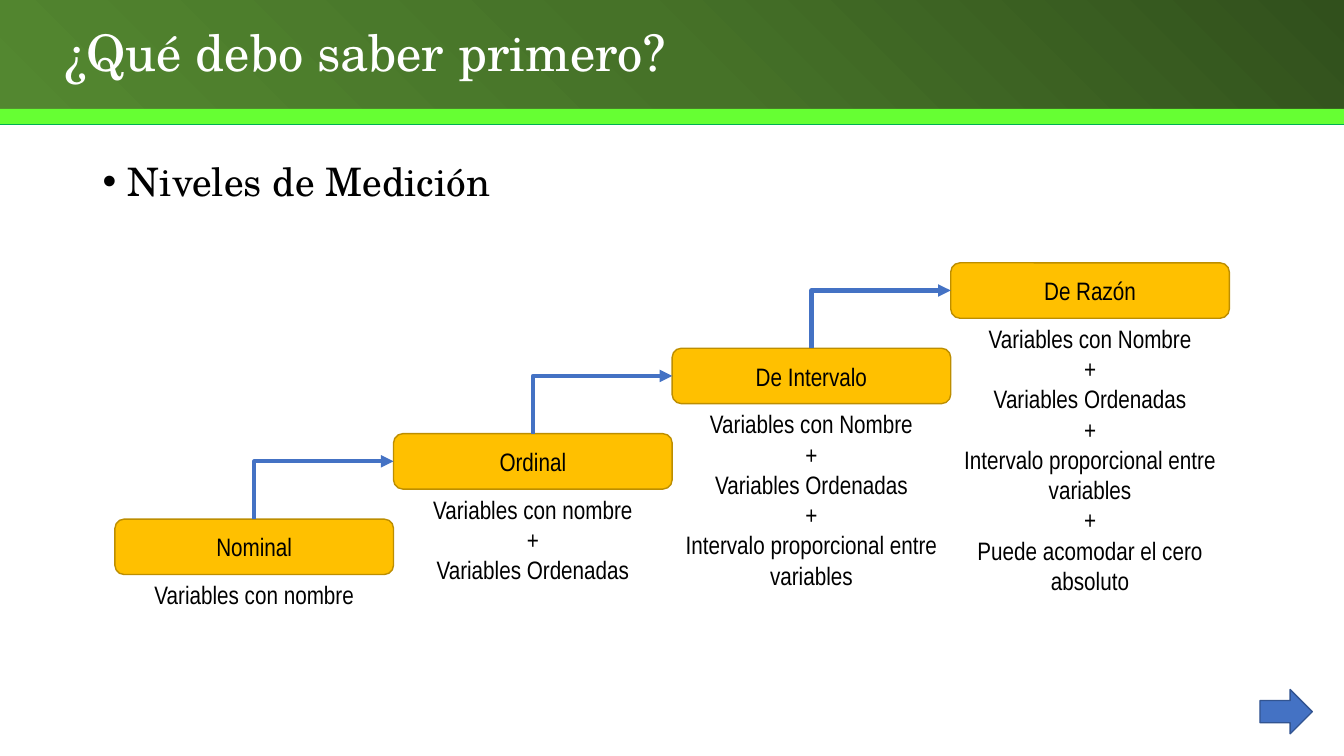
from copy import deepcopy
from dataclasses import dataclass

from lxml import etree
from pptx import Presentation
from pptx import util as u
from pptx.dml.color import RGBColor
from pptx.enum import shapes, text
from pptx.oxml.ns import qn

SLIDE_WIDTH, SLIDE_HEIGHT = u.Inches(13.33), u.Inches(7.5)
SERIF, NARROW = "TeX Gyre Schola", "Arial Narrow"
BLACK, WHITE, AMBER, AMBER_EDGE = "000000", "FFFFFF", "FFC000", "BD8E00"
BLUE, BLUE_EDGE = "4472C4", "325491"
HEADER_STOPS = ((0, "31501C"), (0.5, "467228"), (1, "538730"))
STEP_LEFT, STEP_TOP, STEP_WIDTH, STEP_HEIGHT, STEP_RISE = 8.55, 68.67, 20.73, 7.33, 11.3
LINE_HEIGHT, TEXT_MARGIN = 4.04, 1.33


@dataclass(frozen=True)
class Box:
    """A place on the slide, in percent of the slide's width and height."""
    left: float
    top: float
    width: float
    height: float

    def lengths(self) -> tuple[int, int, int, int]:
        """Return left, top, width and height as slide lengths."""
        return (int(SLIDE_WIDTH * self.left / 100), int(SLIDE_HEIGHT * self.top / 100),
                int(SLIDE_WIDTH * self.width / 100), int(SLIDE_HEIGHT * self.height / 100))


@dataclass(frozen=True)
class Level:
    """A level of measurement, its requirements and their count of drawn lines."""
    name: str
    requirements: tuple[str, ...]
    lines: int


LEVELS = (
    Level("Nominal", ("Variables con nombre",), 1),
    Level("Ordinal", ("Variables con nombre", "Variables Ordenadas"), 3),
    Level("De Intervalo", ("Variables con Nombre", "Variables Ordenadas",
                           "Intervalo proporcional entre variables"), 6),
    Level("De Razón", ("Variables con Nombre", "Variables Ordenadas",
                       "Intervalo proporcional entre variables",
                       "Puede acomodar el cero absoluto"), 9),
)


def rgb(value: str) -> RGBColor:
    """Turn a hex string into a colour."""
    return RGBColor.from_string(value)


def add_block(slide, kind, box: Box, fill: str, edge: str = ""):
    """Add a filled preset shape, outlined when an edge colour is given."""
    shape = slide.shapes.add_shape(kind, *box.lengths())
    shape.shadow.inherit = False
    shape.fill.solid()
    shape.fill.fore_color.rgb = rgb(fill)
    if edge:
        shape.line.color.rgb = rgb(edge)
        shape.line.width = u.Pt(1)
    else:
        shape.line.fill.background()
    return shape


def write(shape, content: str, font: str, size: int, color: str, alignment, anchor) -> None:
    """Write one paragraph per line of content and format it."""
    frame = shape.text_frame
    frame.word_wrap = True
    frame.vertical_anchor = anchor
    frame.text = content
    for paragraph in frame.paragraphs:
        paragraph.alignment = alignment
        for run in paragraph.runs:
            run.font.name = font
            run.font.size = u.Pt(size)
            run.font.color.rgb = rgb(color)


def add_header(slide) -> None:
    """Add the gradient band, the green stripes and the title."""
    band = add_block(slide, shapes.MSO_SHAPE.RECTANGLE, Box(0, 0, 100, 14.53), HEADER_STOPS[0][1])
    band.fill.gradient()
    band.fill.gradient_angle = 225
    stop_list = band._element.spPr.find(".//" + qn("a:gsLst"))
    stop_list.append(deepcopy(stop_list[0]))
    for stop, (position, color) in zip(band.fill.gradient_stops, HEADER_STOPS):
        stop.position = position
        stop.color.rgb = rgb(color)
    for top, color in ((14.53, "00B050"), (14.4, "66FF33")):
        add_block(slide, shapes.MSO_SHAPE.RECTANGLE, Box(0, top, 100, 2), color)
    title = slide.shapes.add_textbox(*Box(4.05, 3.6, 81.77, 7.33).lengths())
    write(title, "¿Qué debo saber primero?", SERIF, 36, WHITE,
          text.PP_ALIGN.LEFT, text.MSO_ANCHOR.MIDDLE)
    title.text_frame.paragraphs[0].line_spacing = 0.9


def add_topic(slide) -> None:
    """Add the bulleted topic line."""
    topic = slide.shapes.add_textbox(*Box(6.9, 20.8, 37.58, 7.33).lengths())
    write(topic, "Niveles de Medición", SERIF, 28, BLACK,
          text.PP_ALIGN.JUSTIFY, text.MSO_ANCHOR.TOP)
    paragraph = topic.text_frame.paragraphs[0]
    paragraph.line_spacing = 0.9
    paragraph.space_before = u.Pt(10)
    properties = paragraph._p.get_or_add_pPr()
    properties.set("marL", str(u.Inches(0.25)))
    properties.set("indent", str(-u.Inches(0.25)))
    etree.SubElement(properties, qn("a:buFont"), typeface="Arial")
    etree.SubElement(properties, qn("a:buChar"), char="•")


def add_level(slide, index: int, level: Level):
    """Add a step of the staircase with its requirements below, and return the step."""
    left, top = STEP_LEFT + index * STEP_WIDTH, STEP_TOP - index * STEP_RISE
    step = add_block(slide, shapes.MSO_SHAPE.ROUNDED_RECTANGLE,
                     Box(left, top, STEP_WIDTH, STEP_HEIGHT), AMBER, AMBER_EDGE)
    write(step, level.name, NARROW, 18, BLACK, text.PP_ALIGN.CENTER, text.MSO_ANCHOR.MIDDLE)
    height = TEXT_MARGIN + level.lines * LINE_HEIGHT
    description = slide.shapes.add_textbox(
        *Box(left, top + STEP_HEIGHT, STEP_WIDTH, height).lengths())
    write(description, "\n+\n".join(level.requirements), NARROW, 18, BLACK,
          text.PP_ALIGN.CENTER, text.MSO_ANCHOR.TOP)
    description.text_frame.auto_size = text.MSO_AUTO_SIZE.SHAPE_TO_FIT_TEXT
    return step


def add_bent_arrow(slide, lower, upper) -> None:
    """Join the top of the lower step to the left side of the upper one."""
    start_x, start_y = lower.left + lower.width // 2, lower.top
    end_x, end_y = upper.left, upper.top + upper.height // 2
    arrow = slide.shapes.add_connector(shapes.MSO_CONNECTOR.ELBOW, start_x, start_y, end_x, end_y)
    arrow.begin_connect(lower, 0)
    arrow.end_connect(upper, 1)
    run, rise = end_x - start_x, start_y - end_y
    arrow.left, arrow.top = (start_x + end_x - rise) // 2, (start_y + end_y - run) // 2
    arrow.width, arrow.height = rise, run
    properties = arrow._element.spPr
    transform = properties.find(qn("a:xfrm"))
    for name, value in (("rot", "5400000"), ("flipH", "1"), ("flipV", "1")):
        transform.set(name, value)
    properties.find(qn("a:prstGeom")).set("prst", "bentConnector2")
    arrow.line.color.rgb = rgb(BLUE)
    arrow.line.width = u.Pt(3)
    etree.SubElement(arrow.line._get_or_add_ln(), qn("a:tailEnd"), type="triangle")
    etree.SubElement(properties, qn("a:effectLst"))


def main() -> None:
    """Build the slide and save it."""
    presentation = Presentation()
    presentation.slide_width, presentation.slide_height = SLIDE_WIDTH, SLIDE_HEIGHT
    slide = presentation.slides.add_slide(presentation.slide_layouts[6])
    add_header(slide)
    add_topic(slide)
    steps = [add_level(slide, index, level) for index, level in enumerate(LEVELS)]
    for lower, upper in zip(steps, steps[1:]):
        add_bent_arrow(slide, lower, upper)
    add_block(slide, shapes.MSO_SHAPE.RIGHT_ARROW, Box(93.75, 91.2, 3.9, 5.87), BLUE, BLUE_EDGE)
    presentation.save("out.pptx")


if __name__ == "__main__":
    main()
